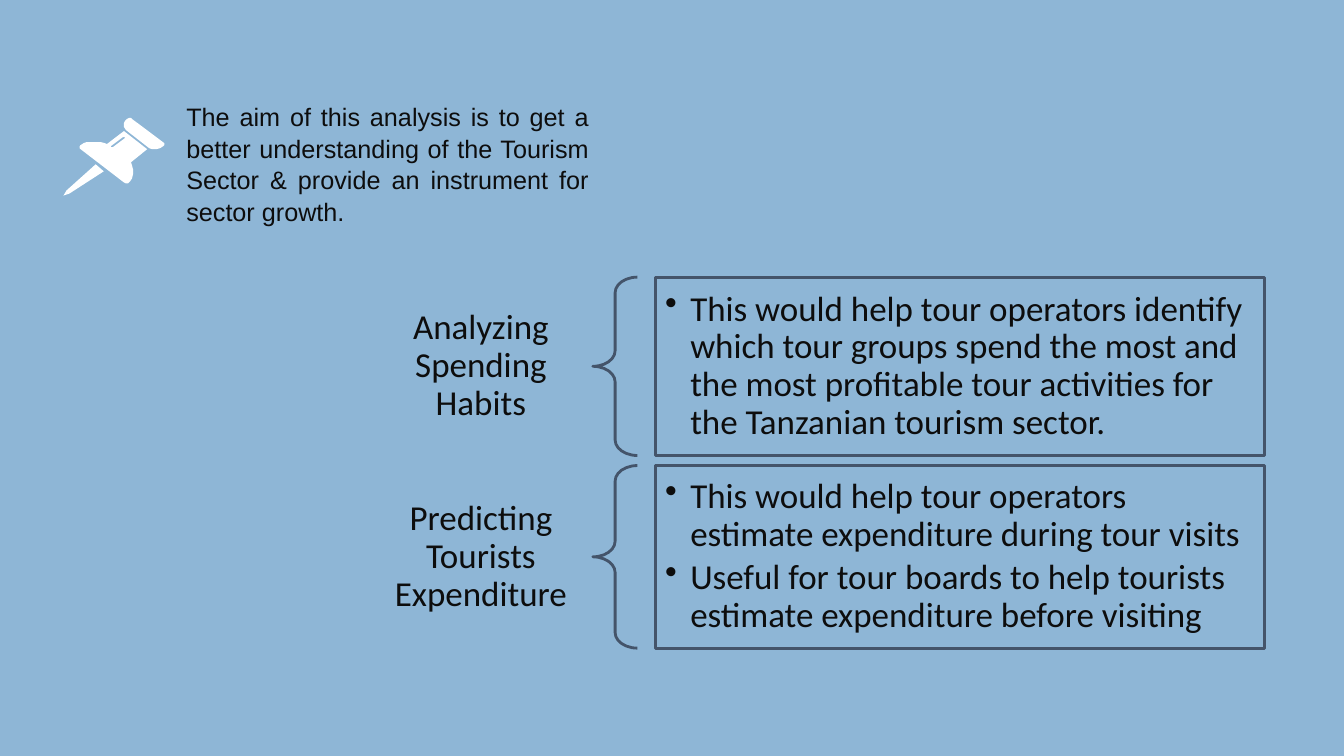
from lxml import etree
from pptx import Presentation
from pptx.dml.color import RGBColor
from pptx.enum.shapes import MSO_SHAPE
from pptx.enum.text import MSO_ANCHOR, PP_ALIGN
from pptx.oxml.ns import qn
from pptx.util import Pt

RECT, BRACE = MSO_SHAPE.RECTANGLE, MSO_SHAPE.LEFT_BRACE
LEFT, CENTER, JUSTIFY = PP_ALIGN.LEFT, PP_ALIGN.CENTER, PP_ALIGN.JUSTIFY
MIDDLE = MSO_ANCHOR.MIDDLE
SKY, SLATE, INK, WHITE = "8EB6D6", "44546A", "0D0D0D", "FFFFFF"

AIM = ("The aim of this analysis is to get a better understanding of the "
       "Tourism Sector & provide an instrument for sector growth.")
GOALS = [
    ("Analyzing Spending Habits", 127.4, [
        "This would help tour operators identify which tour groups spend the most "
        "and the most profitable tour activities for the Tanzanian tourism sector."]),
    ("Predicting Tourists Expenditure", 130.4, [
        "This would help tour operators estimate expenditure during tour visits",
        "Useful for tour boards to help tourists estimate expenditure before visiting"]),
]
GOALS_TOP, GOAL_GAP = 198, 7.2
LABEL_X, LABEL_W, LABEL_H = 263.5, 160, 93
BRACE_X, BRACE_W = 423.5, 31.8
BENEFIT_X, BENEFIT_W = 468, 435

PIN_UNIT = 0.72
PIN_NEEDLE = [[(95, 163), (66, 189), (63, 194), (69, 192), (103, 170)]]
PIN_HEAD = [[(128, 117), (126, 118), (124, 120), (123, 122), (123, 126), (125, 129),
             (148, 147), (151, 148), (155, 148), (159, 147), (162, 145), (163, 144),
             (163, 142), (131, 118), (130, 117)]]
PIN_BODY = [
    [(122, 136), (123, 136), (124, 136.5), (124, 137), (112, 146), (111, 146.3),
     (110, 146), (110, 145)],
    [(123, 130), (106, 143), (104, 142), (100, 141), (91, 141), (86, 141), (83, 142),
     (80, 144), (79, 145), (79, 147), (80, 148), (123, 181), (125, 182), (127, 182),
     (129, 180), (131, 177), (132, 173), (132, 168), (131, 164), (130, 161), (146, 148)],
]

LABEL_FORMAT = {"alignment": CENTER, "line_spacing": 0.9, "space_after": Pt(8.75)}
BENEFIT_FORMAT = {"alignment": LEFT, "line_spacing": 0.9, "space_after": Pt(3.75)}
AIM_FORMAT = {"alignment": JUSTIFY, "line_spacing": 1.05, "space_after": Pt(18)}


def rgb(color):
    return RGBColor.from_string(color)


def apply(target, values):
    for name, value in values.items():
        setattr(target, name, value)


def paint(shape, fill=None, line=None):
    shape.shadow.inherit = False
    if fill:
        shape.fill.solid()
        shape.fill.fore_color.rgb = rgb(fill)
    else:
        shape.fill.background()
    if line:
        shape.line.color.rgb = rgb(line)
        shape.line.width = Pt(2)
    else:
        shape.line.fill.background()


def add_preset(preset, x, y, w, h, fill=None, line=None):
    shape = slide.shapes.add_shape(preset, Pt(x), Pt(y), Pt(w), Pt(h))
    paint(shape, fill, line)
    return shape


def write(shape, texts, size, font, layout, inset_x, inset_y, anchor=None, bullets=False):
    frame = shape.text_frame
    apply(frame, {"word_wrap": True, "vertical_anchor": anchor,
                  "margin_left": Pt(inset_x), "margin_right": Pt(inset_x),
                  "margin_top": Pt(inset_y), "margin_bottom": Pt(inset_y)})
    for index, text in enumerate(texts):
        paragraph = frame.add_paragraph() if index else frame.paragraphs[0]
        apply(paragraph, layout)
        run = paragraph.add_run()
        run.text = text
        apply(run.font, {"size": Pt(size), "name": font})
        run.font.color.rgb = rgb(INK)
        if bullets:
            properties = paragraph._p.get_or_add_pPr()
            properties.set("lvl", "1")
            properties.set("marL", str(Pt(18)))
            properties.set("indent", str(-Pt(18)))
            etree.SubElement(properties, qn("a:buChar")).set("char", "•")


def add_outline(contours):
    builder = slide.shapes.build_freeform(*contours[0][0], scale=Pt(PIN_UNIT))
    builder.add_line_segments(contours[0][1:], close=True)
    for contour in contours[1:]:
        builder.move_to(*contour[0])
        builder.add_line_segments(contour[1:], close=True)
    paint(builder.convert_to_shape(), WHITE)


deck = Presentation()
apply(deck, {"slide_width": Pt(960), "slide_height": Pt(540)})
slide = deck.slides.add_slide(deck.slide_layouts[6])
slide.background.fill.solid()
slide.background.fill.fore_color.rgb = rgb(SKY)

for pin_part in (PIN_NEEDLE, PIN_HEAD, PIN_BODY):
    add_outline(pin_part)

aim = slide.shapes.add_textbox(Pt(126), Pt(67.7), Pt(301.7), Pt(134.6))
write(aim, [AIM], 18, "Arial", AIM_FORMAT, 7.2, 3.6)

top = GOALS_TOP
for goal, height, benefits in GOALS:
    label = add_preset(RECT, LABEL_X, top + (height - LABEL_H) / 2, LABEL_W, LABEL_H, SKY)
    write(label, [goal], 25, "Calibri", LABEL_FORMAT, 13.7, 5, MIDDLE)
    brace = add_preset(BRACE, BRACE_X, top, BRACE_W, height, line=SLATE)
    brace.adjustments[0] = 0.35
    benefit_box = add_preset(RECT, BENEFIT_X, top, BENEFIT_W, height, SKY, SLATE)
    write(benefit_box, benefits, 25, "Calibri", BENEFIT_FORMAT, 7.2, 7.2, MIDDLE, True)
    top += height + GOAL_GAP

deck.save("out.pptx")
